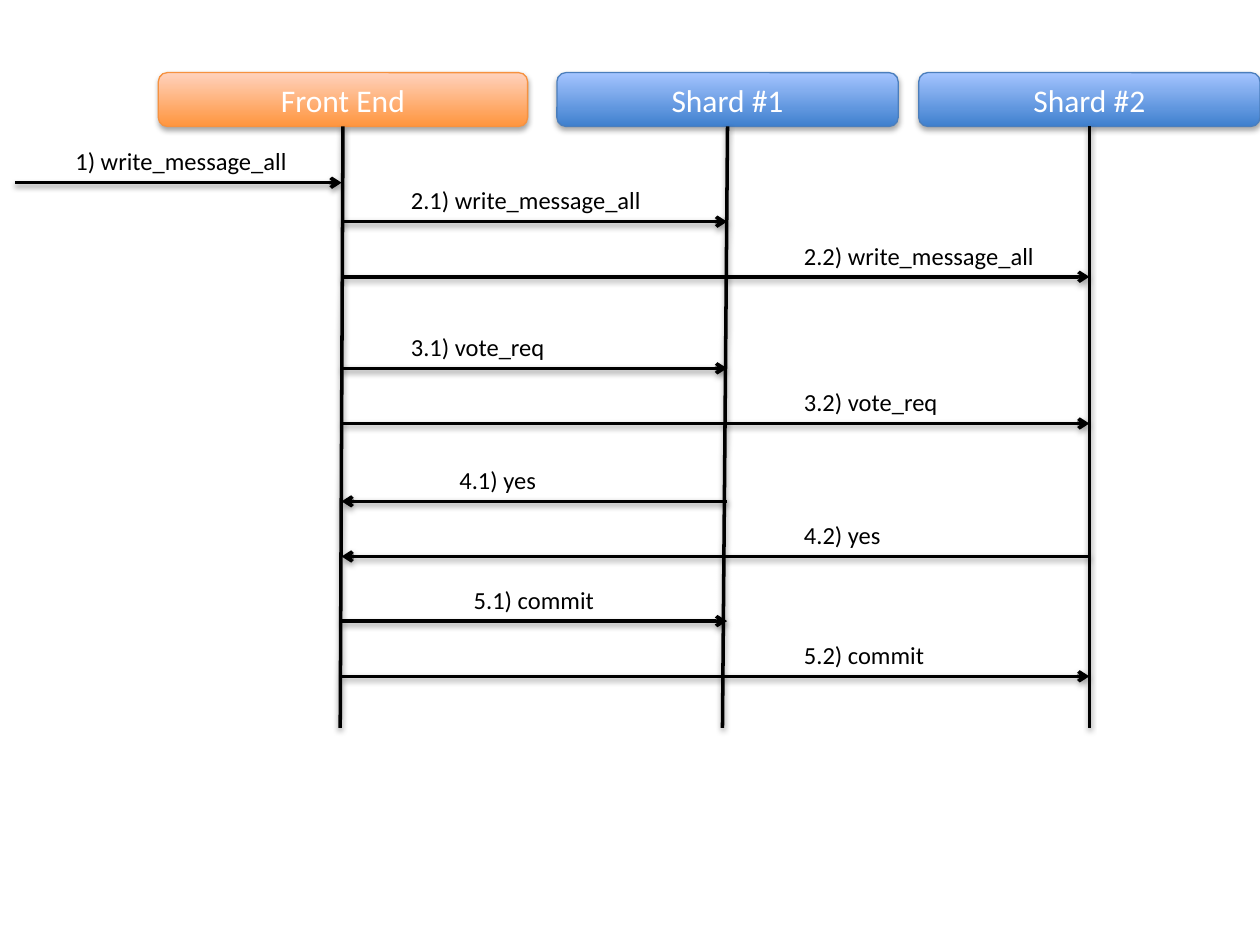
from lxml import etree
from pptx import Presentation
from pptx.dml.color import RGBColor
from pptx.enum.shapes import MSO_CONNECTOR, MSO_SHAPE
from pptx.enum.text import MSO_ANCHOR, MSO_AUTO_SIZE, PP_ALIGN
from pptx.oxml.ns import qn
from pptx.util import Pt

ROUND = MSO_SHAPE.ROUNDED_RECTANGLE
STRAIGHT = MSO_CONNECTOR.STRAIGHT
CENTER, LEFT = PP_ALIGN.CENTER, PP_ALIGN.LEFT
MIDDLE, TOP = MSO_ANCHOR.MIDDLE, MSO_ANCHOR.TOP

FONT = "Calibri"
COLORS = {
    "ink": "000000", "white": "FFFFFF",
    "orange": ("FF953E", "FFD2BD", "F69240"),  # bottom, top, outline
    "blue": ("3F80CE", "A4C4FF", "4B7EBC"),
}

# Actors: name, left, width, colour, lean of the lifeline
ACTORS = [
    ("Front End", 90.5, 211, "orange", -1.6),
    ("Shard #1", 318.25, 195, "blue", -2.9),
    ("Shard #2", 525, 195, "blue", 0),
]
HEAD_TOP, HEAD_TALL, LIFE_END = 41.5, 30.75, 416

# Messages: text, from, to, height of the arrow, label left, label width
CLIENT, FRONT, ONE, TWO = "client", "front", "one", "two"
STOPS = {CLIENT: 8.64, FRONT: 195.2, ONE: 415.5, TWO: 622.5}
MESSAGES = [
    ("1) write_message_all", CLIENT, FRONT, 104.4, 36, 136),
    ("2.1) write_message_all", FRONT, ONE, 126.7, 227.7, 147),
    ("2.2) write_message_all", FRONT, TWO, 158.2, 452.3, 147),
    ("3.1) vote_req", FRONT, ONE, 210.5, 227.7, 92),
    ("3.2) vote_req", FRONT, TWO, 242, 452.3, 92),
    ("4.1) yes", ONE, FRONT, 286.5, 255.4, 59),
    ("4.2) yes", TWO, FRONT, 318, 452.3, 59),
    ("5.1) commit", FRONT, ONE, 354.9, 263.6, 84),
    ("5.2) commit", FRONT, TWO, 386.5, 452.3, 84),
]
LABEL_TALL = 24.25


def rgb(code):
    return RGBColor.from_string(code)


def shade(shape, alpha, dist):
    """Soft shadow straight below the shape."""
    effect = etree.SubElement(shape._element.spPr, qn("a:effectLst"))
    outer = etree.SubElement(
        effect, qn("a:outerShdw"), blurRad=str(Pt(3.15)), dist=str(Pt(dist)),
        dir="5400000", rotWithShape="0")
    color = etree.SubElement(outer, qn("a:srgbClr"), val=COLORS["ink"])
    etree.SubElement(color, qn("a:alpha"), val=str(alpha * 1000))


def write(shape, text, size, color, align, anchor):
    frame = shape.text_frame
    frame.text = text
    frame.vertical_anchor = anchor
    para = frame.paragraphs[0]
    para.alignment = align
    font = para.runs[0].font
    font.name, font.size = FONT, Pt(size)
    font.color.rgb = rgb(color)


def draw_line(start, end, arrow=False):
    line = slide.shapes.add_connector(STRAIGHT, *map(Pt, start + end))
    line.line.width = Pt(2)
    line.line.color.rgb = rgb(COLORS["ink"])
    if arrow:
        etree.SubElement(line.line._get_or_add_ln(), qn("a:tailEnd"), type="arrow")
    shade(line, 38, 1.6)


def draw_head(name, left, width, tone):
    low, high, edge = COLORS[tone]
    head = slide.shapes.add_shape(
        ROUND, Pt(left), Pt(HEAD_TOP), Pt(width), Pt(HEAD_TALL))
    head.fill.gradient()
    head.fill.gradient_angle = 90
    for stop, code in zip(head.fill.gradient_stops, (low, high)):
        stop.color.rgb = rgb(code)
    head.line.color.rgb = rgb(edge)
    head.line.width = Pt(0.75)
    shade(head, 35, 1.8)
    write(head, name, 18, COLORS["white"], CENTER, MIDDLE)


def draw_label(text, left, top, width):
    box = slide.shapes.add_textbox(Pt(left), Pt(top), Pt(width), Pt(LABEL_TALL))
    box.text_frame.word_wrap = False
    box.text_frame.auto_size = MSO_AUTO_SIZE.SHAPE_TO_FIT_TEXT
    write(box, text, 14, COLORS["ink"], LEFT, TOP)


deck = Presentation()
deck.slide_width, deck.slide_height = Pt(720), Pt(540)
slide = deck.slides.add_slide(deck.slide_layouts[6])

# Actors and their lifelines
for name, left, width, tone, lean in ACTORS:
    draw_head(name, left, width, tone)
    mid = left + width / 2
    draw_line((mid, HEAD_TOP + HEAD_TALL), (mid + lean, LIFE_END))

# Messages, each label resting on its arrow
for text, source, target, y, left, width in MESSAGES:
    draw_line((STOPS[source], y), (STOPS[target], y), arrow=True)
    draw_label(text, left, y - LABEL_TALL, width)

deck.save("out.pptx")
